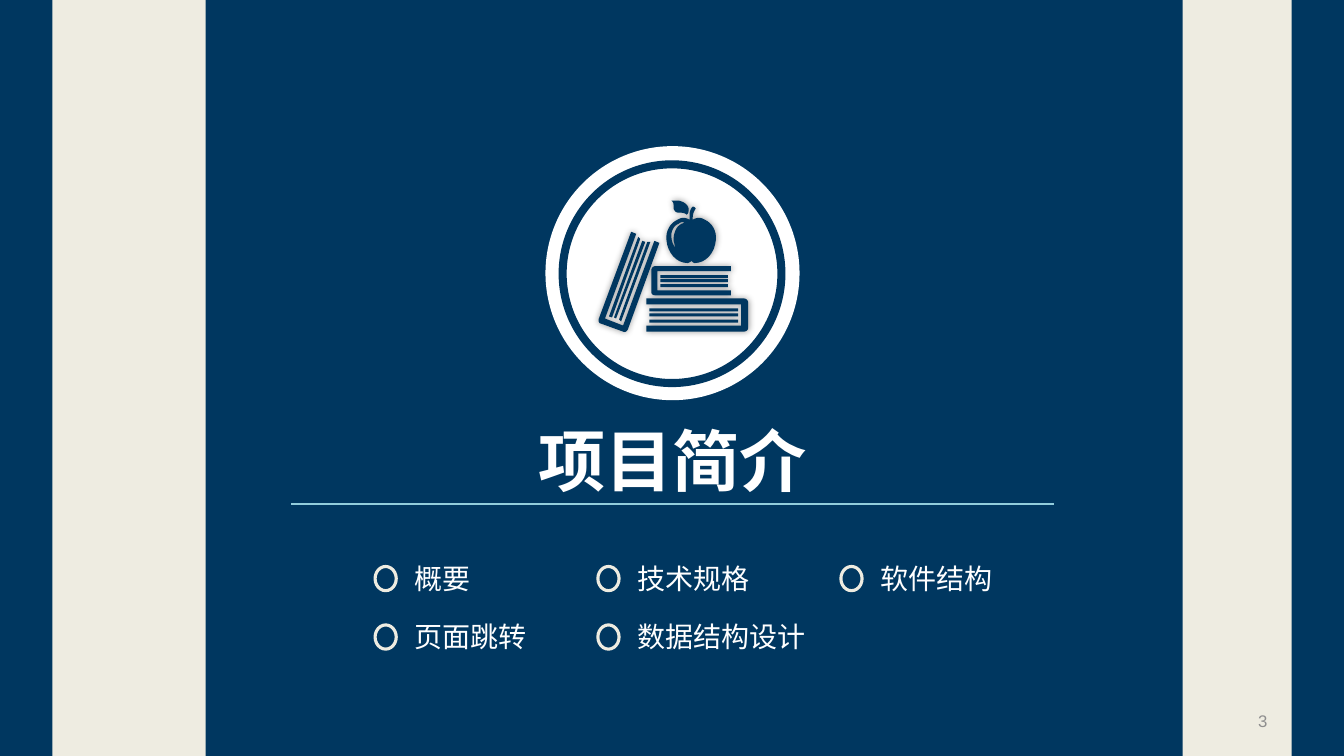
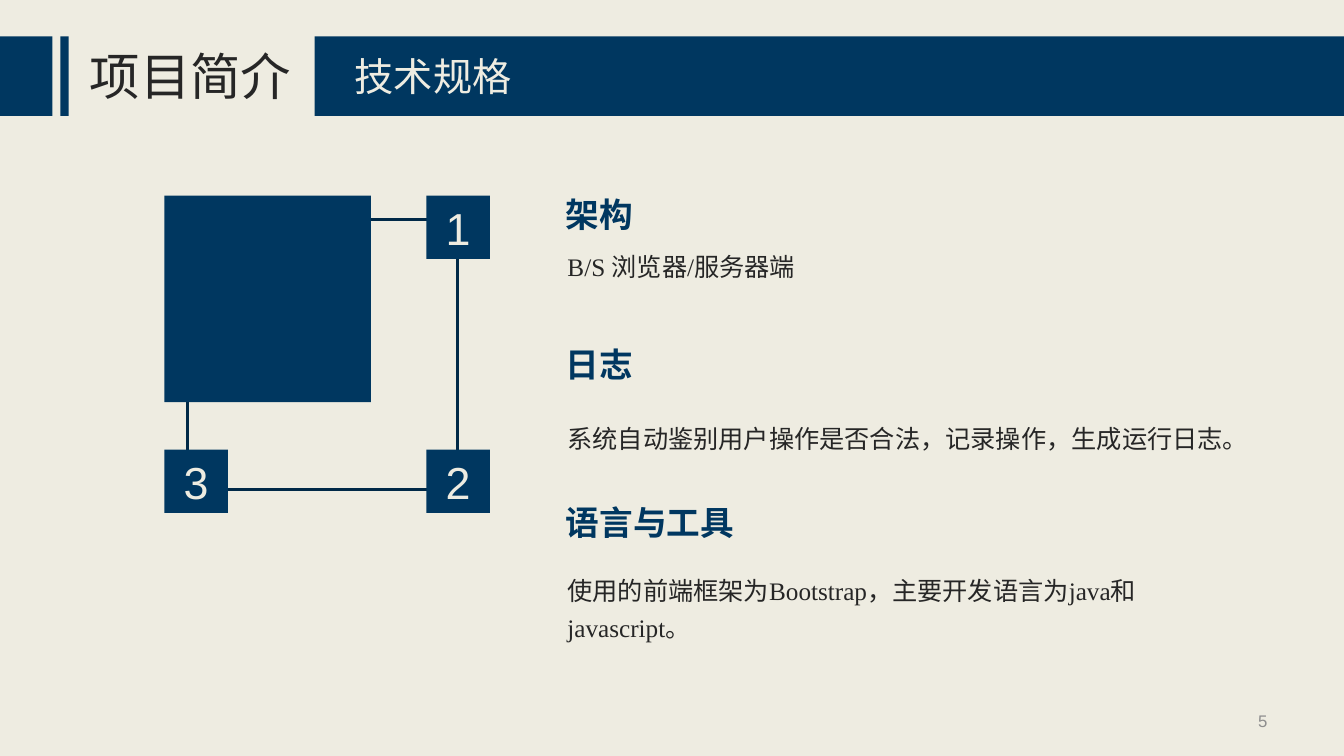
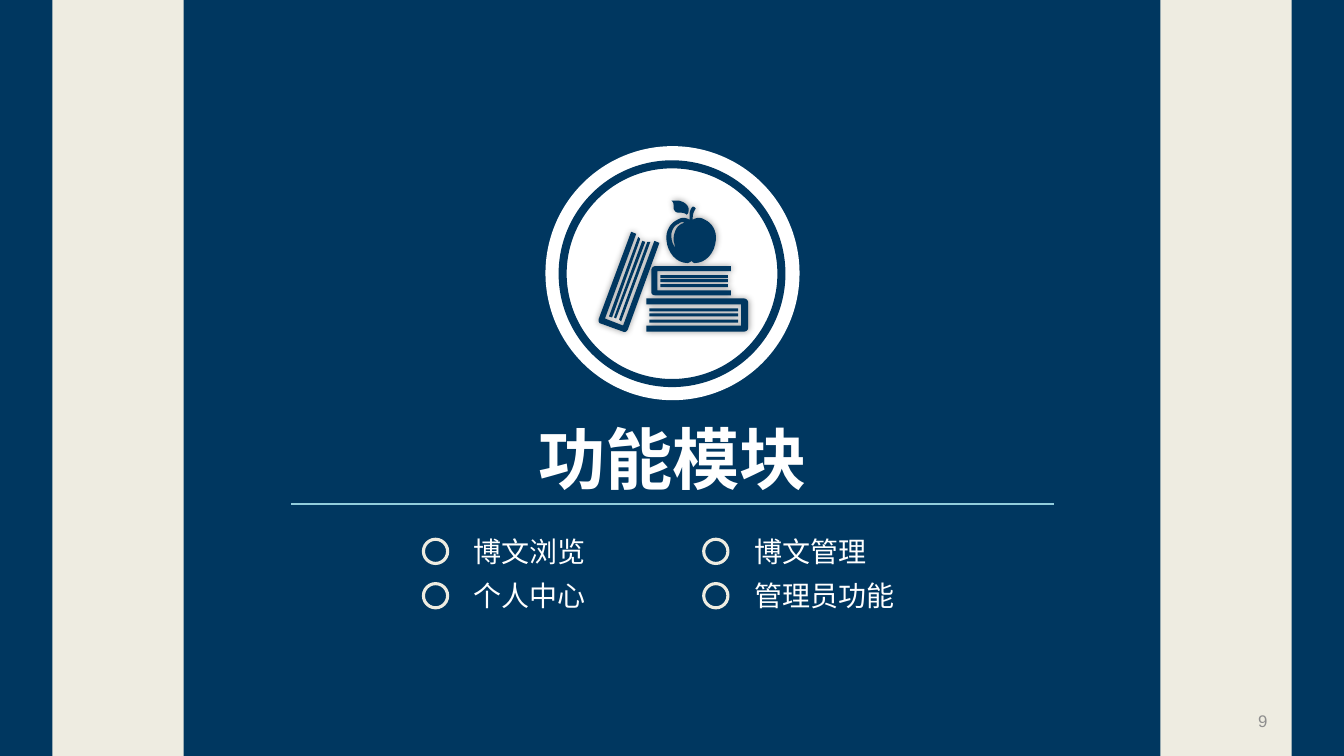
from lxml import etree
from pptx import Presentation
from pptx.dml.color import RGBColor
from pptx.enum.shapes import MSO_CONNECTOR, MSO_SHAPE
from pptx.enum.text import MSO_ANCHOR, MSO_AUTO_SIZE, PP_ALIGN
from pptx.oxml.ns import qn
from pptx.util import Inches, Pt

RECT, OVAL, DONUT = MSO_SHAPE.RECTANGLE, MSO_SHAPE.OVAL, MSO_SHAPE.DONUT
LEFT, CENTER, RIGHT = PP_ALIGN.LEFT, PP_ALIGN.CENTER, PP_ALIGN.RIGHT
TOP, MIDDLE = MSO_ANCHOR.TOP, MSO_ANCHOR.MIDDLE
NAVY = RGBColor(0x00, 0x37, 0x60)
DEEP_NAVY = RGBColor(0x00, 0x29, 0x47)
CREAM = RGBColor(0xEE, 0xEC, 0xE1)
WHITE = RGBColor(0xFF, 0xFF, 0xFF)
SKY = RGBColor(0x92, 0xCD, 0xDC)
INK = RGBColor(0x26, 0x26, 0x26)
GREY = RGBColor(0x8E, 0x8E, 0x8E)
SANS, LATIN, SERIF = "Noto Sans CJK SC", "Arial", "Times New Roman"
WIDTH, HEIGHT = 13.33, 7.5

INTRO = {
    "title": "项目简介", "title_top": 4.11, "number": "3", "panel_left": 2.04,
    "columns": [3.72, 5.93, 8.34], "rows": [5.62, 6.2],
    "marker": (0.21, 0.24), "label_gap": 0.29, "label_width": 1.98,
    "items": [["概要", "技术规格", "软件结构"], ["页面跳转", "数据结构设计"]],
}
MODULES = {
    "title": "功能模块", "title_top": 4.09, "number": "9", "panel_left": 1.82,
    "columns": [4.2, 6.98], "rows": [5.35, 5.79],
    "marker": (0.24, 0.24), "label_gap": 0.4, "label_width": 1.91,
    "items": [["博文浏览", "博文管理"], ["个人中心", "管理员功能"]],
}
SPECS = [
    ("架构", (4.54, 1.87, 2.81, 0.5),
     "B/S 浏览器/服务器端", (5.53, 2.37, 7.28, 0.48)),
    ("日志", (4.54, 3.36, 2.81, 0.5),
     "系统自动鉴别用户操作是否合法，记录操作，生成运行日志。", (5.53, 4.08, 7.28, 0.86)),
    ("语言与工具", (5.04, 4.93, 2.81, 0.5),
     "使用的前端框架为Bootstrap，主要开发语言为java和javascript。", (5.53, 5.58, 6.31, 1.24)),
]
TILES = [("1", 4.23, 1.94), ("2", 4.23, 4.46), ("3", 1.63, 4.46)]

UPPER_COVER = [
    (6.52, 2.69), (6.52, 2.88), (7.25, 2.88), (7.25, 2.93), (6.5, 2.93),
    (6.48, 2.93, 6.46, 2.92, 6.46, 2.9), (6.46, 2.68),
    (6.46, 2.66, 6.48, 2.64, 6.5, 2.64), (7.25, 2.64), (7.25, 2.69)]
LOWER_COVER = [
    (7.35, 3.02), (7.35, 3.23), (6.41, 3.23), (6.41, 3.29), (7.37, 3.29),
    (7.4, 3.29, 7.42, 3.28, 7.42, 3.25), (7.42, 3),
    (7.42, 2.98, 7.4, 2.96, 7.37, 2.96), (6.41, 2.96), (6.41, 3.02)]
LEANING_COVER = [
    (6, 3.16), (6.18, 3.23), (6.49, 2.39), (6.54, 2.41), (6.23, 3.26),
    (6.22, 3.29, 6.2, 3.3, 6.18, 3.29), (5.96, 3.21),
    (5.94, 3.21, 5.93, 3.18, 5.94, 3.16), (6.26, 2.3), (6.31, 2.32)]
LEANING_PAGES = [
    [(6.42, 2.4), (6.14, 3.17), (6.16, 3.19), (6.45, 2.4)],
    [(6.37, 2.39), (6.09, 3.15), (6.11, 3.16), (6.4, 2.4)],
    [(6.33, 2.35), (6.04, 3.14), (6.07, 3.15), (6.35, 2.37)]]
LEAF = [
    (6.73, 2.11), (6.7, 2.11, 6.69, 2.09, 6.68, 2.07),
    (6.68, 2.06, 6.68, 2.04, 6.68, 2.03), (6.68, 2.01, 6.67, 2, 6.66, 1.99),
    (6.73, 1.99), (6.77, 2, 6.82, 2.02, 6.83, 2.07),
    (6.83, 2.09, 6.83, 2.12, 6.81, 2.13), (6.79, 2.11, 6.76, 2.11, 6.73, 2.11)]
GLINT = [
    (6.79, 2.21), (6.77, 2.2, 6.76, 2.2, 6.73, 2.22),
    (6.68, 2.24, 6.65, 2.3, 6.66, 2.36), (6.66, 2.39, 6.68, 2.44, 6.7, 2.46),
    (6.69, 2.44, 6.69, 2.41, 6.68, 2.39), (6.68, 2.32, 6.7, 2.25, 6.76, 2.22)]
APPLE = [
    (6.99, 2.18), (7.06, 2.21, 7.11, 2.29, 7.1, 2.38),
    (7.09, 2.51, 7, 2.61, 6.89, 2.61), (6.88, 2.61, 6.87, 2.6, 6.86, 2.59),
    (6.84, 2.6, 6.83, 2.61, 6.82, 2.61), (6.71, 2.61, 6.62, 2.51, 6.61, 2.38),
    (6.6, 2.29, 6.65, 2.21, 6.72, 2.18), (6.77, 2.15, 6.8, 2.16, 6.84, 2.18),
    (6.84, 2.14, 6.83, 2.09, 6.87, 2.05), (6.88, 2.05, 6.9, 2.06, 6.9, 2.07),
    (6.87, 2.11, 6.87, 2.15, 6.87, 2.18), (6.91, 2.16, 6.94, 2.15, 6.99, 2.18)]


def sheet(left, top, right):
    return [(left, top), (right, top), (right, top + 0.03), (left, top + 0.03)]


BOOKS_AND_APPLE = (
    [UPPER_COVER, LOWER_COVER, LEANING_COVER, LEAF, GLINT, APPLE] + LEANING_PAGES
    + [sheet(6.55, top, 7.22) for top in (2.73, 2.77, 2.82)]
    + [sheet(6.44, top, 7.32) for top in (3.06, 3.11, 3.17)])


def place(item, box):
    item.left, item.top, item.width, item.height = map(Inches, box)


def write(item, text, size, font, color, align=LEFT, anchor=TOP, bold=False, spacing=1.0):
    frame = item.text_frame
    frame.word_wrap = True
    frame.auto_size = MSO_AUTO_SIZE.NONE
    frame.vertical_anchor = anchor
    para = frame.paragraphs[0]
    para.alignment = align
    para.line_spacing = spacing
    span = para.add_run()
    span.text = text
    span.font.size = Pt(size)
    span.font.bold = bold
    span.font.color.rgb = color
    span.font.name = font
    etree.SubElement(span.font._element, qn("a:ea")).set("typeface", SANS)


def add_text(page, box, text, size, font, color, **style):
    write(page.shapes.add_textbox(*map(Inches, box)), text, size, font, color, **style)


def add_block(page, kind, box, fill, line=None, line_width=0):
    block = page.shapes.add_shape(kind, *map(Inches, box))
    block.shadow.inherit = False
    block.fill.solid()
    block.fill.fore_color.rgb = fill
    if line is None:
        block.line.fill.background()
    else:
        block.line.color.rgb = line
        block.line.width = Pt(line_width)
    return block


def add_page(deck, number):
    page = deck.slides.add_slide(deck.slide_layouts[5])
    add_text(page, (9.56, 6.95, 3.11, 0.4), number, 12, LATIN, GREY, align=RIGHT, anchor=MIDDLE)
    return page


def add_title(page, box, text, size, font, color, **style):
    title = page.shapes.title
    place(title, box)
    write(title, text, size, font, color, **style)
    title.element.getparent().append(title.element)


def flatten(outline, steps=8):
    points = [outline[0]]
    for segment in outline[1:]:
        if len(segment) == 2:
            points.append(segment)
            continue
        x0, y0 = points[-1]
        x1, y1, x2, y2, x3, y3 = segment
        for step in range(1, steps + 1):
            t = step / steps
            a, b, c, d = (1 - t) ** 3, 3 * t * (1 - t) ** 2, 3 * t * t * (1 - t), t ** 3
            points.append((a * x0 + b * x1 + c * x2 + d * x3,
                           a * y0 + b * y1 + c * y2 + d * y3))
    return [(Inches(x), Inches(y)) for x, y in points]


def add_icon(page):
    outlines = [flatten(outline) for outline in BOOKS_AND_APPLE]
    builder = page.shapes.build_freeform(*outlines[0][0])
    for index, points in enumerate(outlines):
        if index:
            builder.move_to(*points[0])
        builder.add_line_segments(points[1:], close=True)
    icon = builder.convert_to_shape()
    icon.fill.solid()
    icon.fill.fore_color.rgb = NAVY
    icon.line.fill.background()
    icon.shadow.inherit = False
    effects = icon.element.spPr.find(qn("a:effectLst"))
    shadow = etree.SubElement(effects, qn("a:outerShdw"), blurRad=str(Pt(5)), dist="0", dir="0")
    color = etree.SubElement(shadow, qn("a:srgbClr"), val="000000")
    etree.SubElement(color, qn("a:alpha"), val="40000")


def add_section(deck, section):
    page = add_page(deck, section["number"])
    add_block(page, RECT, (section["panel_left"], 0, 9.69, HEIGHT), NAVY)
    for left in (0, WIDTH - 0.52):
        add_block(page, RECT, (left, 0, 0.52, HEIGHT), NAVY)
    add_block(page, OVAL, (5.41, 1.45, 2.52, 2.52), WHITE)
    ring = add_block(page, DONUT, (5.54, 1.59, 2.25, 2.25), NAVY)
    ring.adjustments[0] = 0.08 / 2.25
    add_icon(page)
    add_title(page, (3.25, section["title_top"], 6.84, 0.91), section["title"],
              48, SANS, WHITE, align=CENTER, bold=True)
    rule = page.shapes.add_connector(
        MSO_CONNECTOR.STRAIGHT, Inches(2.89), Inches(5), Inches(10.45), Inches(5))
    rule.line.color.rgb = SKY
    rule.line.width = Pt(0.75)
    etree.SubElement(rule.element.spPr, qn("a:effectLst"))
    for top, labels in zip(section["rows"], section["items"]):
        for left, label in zip(section["columns"], labels):
            add_block(page, OVAL, (left, top, *section["marker"]), NAVY, CREAM, 2.25)
            add_text(page, (left + section["label_gap"], top - 0.1, section["label_width"], 0.43),
                     label, 20, SANS, WHITE)


def add_specs(deck):
    page = add_page(deck, "5")
    for left, width in ((0, 0.52), (0.6, 0.08), (3.12, WIDTH - 3.12)):
        add_block(page, RECT, (left, 0.36, width, 0.79), NAVY)
    add_title(page, (0.79, 0.4, 2.52, 0.71), "项目简介", 36, LATIN, INK)
    add_text(page, (3.42, 0.47, 4.98, 0.57), "技术规格", 28, LATIN, CREAM)
    add_block(page, RECT, (1.86, 2.18, 2.68, 2.68), CREAM, DEEP_NAVY, 2)
    add_block(page, RECT, (1.63, 1.94, 2.05, 2.05), NAVY)
    for digit, left, top in TILES:
        tile = add_block(page, RECT, (left, top, 0.63, 0.63), NAVY)
        write(tile, digit, 32, LATIN, CREAM, align=CENTER, anchor=MIDDLE)
    for heading, heading_box, detail, detail_box in SPECS:
        add_text(page, heading_box, heading, 24, SERIF, NAVY, align=CENTER, bold=True)
        add_text(page, detail_box, detail, 18, SERIF, INK, spacing=1.25)


def main():
    deck = Presentation()
    deck.slide_width, deck.slide_height = Inches(WIDTH), Inches(HEIGHT)
    backdrop = deck.slide_master.background.fill
    backdrop.solid()
    backdrop.fore_color.rgb = CREAM
    add_section(deck, INTRO)
    add_specs(deck)
    add_section(deck, MODULES)
    deck.save("out.pptx")


if __name__ == "__main__":
    main()
